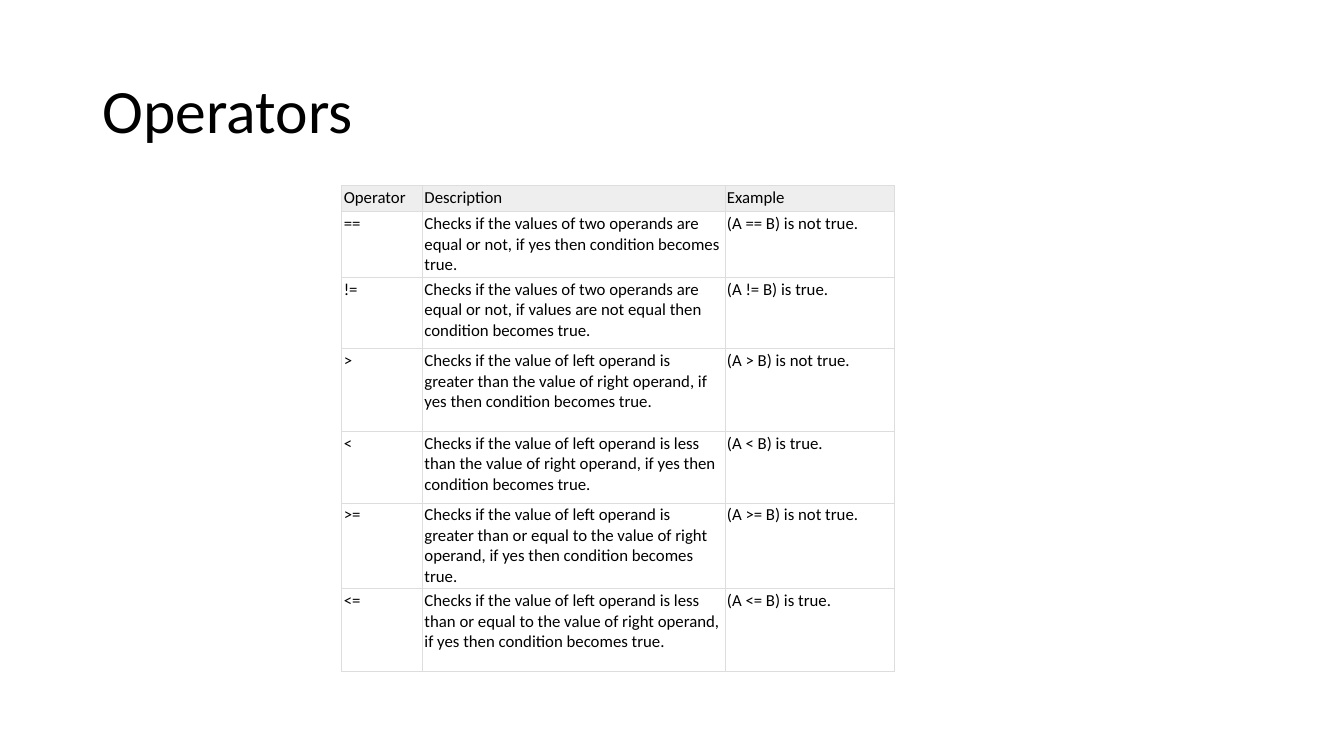
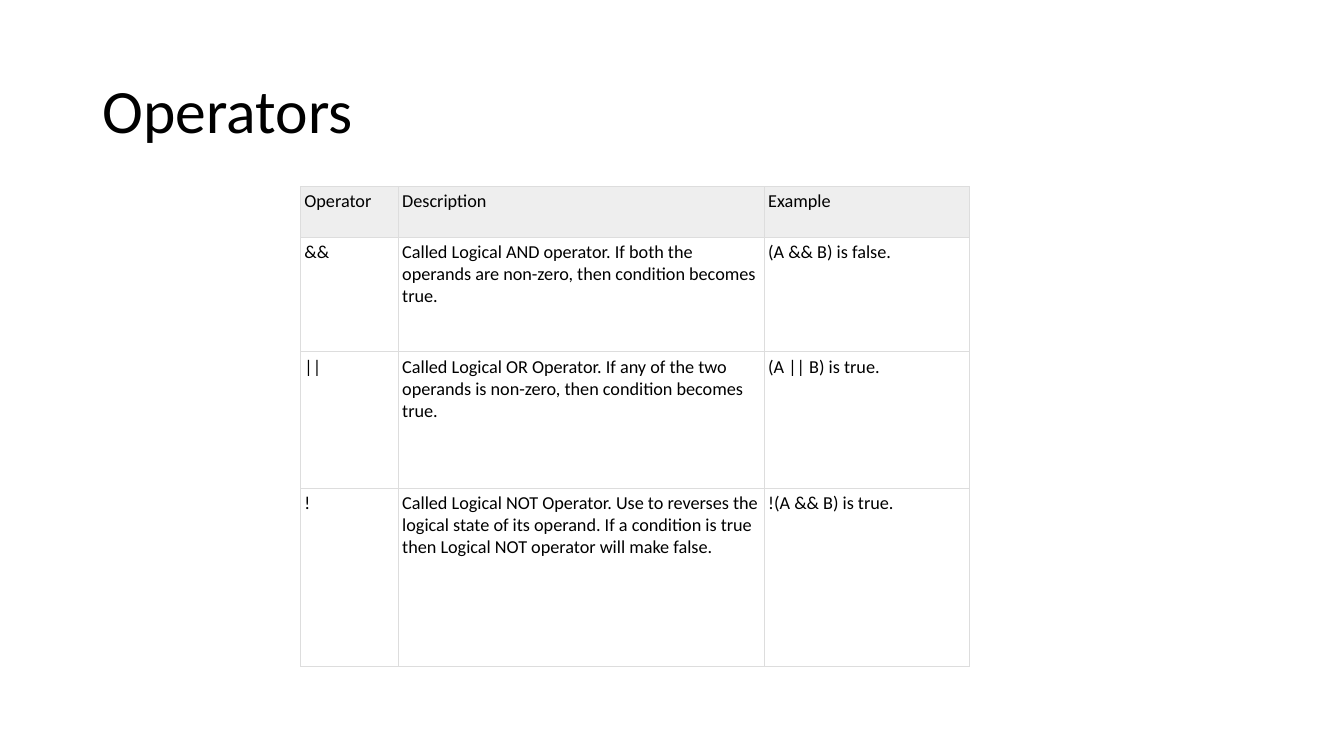
from dataclasses import dataclass

from lxml import etree
from pptx import Presentation
from pptx.dml.color import RGBColor
from pptx.enum.text import MSO_ANCHOR, PP_ALIGN
from pptx.oxml.ns import qn
from pptx.util import Inches, Pt

LEFT = PP_ALIGN.LEFT
TOP, MIDDLE = MSO_ANCHOR.TOP, MSO_ANCHOR.MIDDLE
TITLE_ONLY = 5

FONT = "Calibri"
TEXT_COLOR = "000000"
HEADER_FILL = "EEEEEE"
BORDER_COLOR = "DDDDDD"
BORDER_WIDTH = Pt(0.5)
HEADINGS = ("Operator", "Description", "Example")


@dataclass(frozen=True)
class Operator:
    symbol: str
    description: str
    example: str


@dataclass(frozen=True)
class OperatorTable:
    left: float
    top: float
    column_widths: tuple[float, ...]
    row_heights: tuple[float, ...]
    margin: float
    font_size: int
    operators: tuple[Operator, ...]


COMPARISON = OperatorTable(
    3.39, 1.84, (0.8, 3, 1.68), (0.26, 0.6, 0.71, 0.82, 0.71, 0.82, 0.82), 0.02, 12,
    (
        Operator("==", "Checks if the values of two operands are equal or not, "
                 "if yes then condition becomes true.", "(A == B) is not true."),
        Operator("!=", "Checks if the values of two operands are equal or not, "
                 "if values are not equal then condition becomes true.", "(A != B) is true."),
        Operator(">", "Checks if the value of left operand is greater than the value "
                 "of right operand, if yes then condition becomes true.", "(A > B) is not true."),
        Operator("<", "Checks if the value of left operand is less than the value "
                 "of right operand, if yes then condition becomes true.", "(A < B) is true."),
        Operator(">=", "Checks if the value of left operand is greater than or equal to the value "
                 "of right operand, if yes then condition becomes true.", "(A >= B) is not true."),
        Operator("<=", "Checks if the value of left operand is less than or equal to the value "
                 "of right operand, if yes then condition becomes true.", "(A <= B) is true."),
    ),
)
LOGICAL = OperatorTable(
    2.98, 1.85, (0.97, 3.63, 2.03), (0.5, 1.14, 1.35, 1.77), 0.04, 13,
    (
        Operator("&&", "Called Logical AND operator. If both the operands are non-zero, "
                 "then condition becomes true.", "(A && B) is false."),
        Operator("||", "Called Logical OR Operator. If any of the two operands is non-zero, "
                 "then condition becomes true.", "(A || B) is true."),
        Operator("!", "Called Logical NOT Operator. Use to reverses the logical state of its operand. "
                 "If a condition is true then Logical NOT operator will make false.",
                 "!(A && B) is true."),
    ),
)


def rgb(color: str) -> RGBColor:
    return RGBColor.from_string(color)


def format_paragraph(paragraph, size: int) -> None:
    paragraph.alignment = LEFT
    font = paragraph.font
    font.name, font.size, font.bold = FONT, Pt(size), False
    font.color.rgb = rgb(TEXT_COLOR)


def add_title(slide, text: str) -> None:
    title = slide.shapes.title
    title.left, title.top = Inches(0.92), Inches(0.4)
    title.width, title.height = Inches(11.5), Inches(1.45)
    title.text_frame.text = text
    title.text_frame.vertical_anchor = MIDDLE
    paragraph = title.text_frame.paragraphs[0]
    format_paragraph(paragraph, 44)
    paragraph.line_spacing = 0.9


def add_borders(cell) -> None:
    """Line all four sides; call before filling, as the schema puts lines first."""
    properties = cell._tc.get_or_add_tcPr()
    for side in ("a:lnL", "a:lnR", "a:lnT", "a:lnB"):
        line = etree.SubElement(properties, qn(side), w=str(BORDER_WIDTH))
        fill = etree.SubElement(line, qn("a:solidFill"))
        etree.SubElement(fill, qn("a:srgbClr"), val=BORDER_COLOR)


def fill_cell(cell, text: str, is_header: bool, layout: OperatorTable) -> None:
    cell.text = text
    cell.vertical_anchor = TOP
    margin = Inches(layout.margin)
    cell.margin_left = cell.margin_right = cell.margin_top = cell.margin_bottom = margin
    format_paragraph(cell.text_frame.paragraphs[0], layout.font_size)
    add_borders(cell)
    if is_header:
        cell.fill.solid()
        cell.fill.fore_color.rgb = rgb(HEADER_FILL)
    else:
        cell.fill.background()


def add_operator_table(slide, layout: OperatorTable) -> None:
    rows = [HEADINGS] + [(op.symbol, op.description, op.example) for op in layout.operators]
    table = slide.shapes.add_table(
        len(rows), len(HEADINGS), Inches(layout.left), Inches(layout.top),
        Inches(sum(layout.column_widths)), Inches(sum(layout.row_heights)),
    ).table
    table.first_row = table.horz_banding = False
    for column, width in zip(table.columns, layout.column_widths):
        column.width = Inches(width)
    for row, height in zip(table.rows, layout.row_heights):
        row.height = Inches(height)
    for row_index, texts in enumerate(rows):
        for column_index, text in enumerate(texts):
            fill_cell(table.cell(row_index, column_index), text, row_index == 0, layout)


def main() -> None:
    presentation = Presentation()
    presentation.slide_width, presentation.slide_height = Inches(13.33), Inches(7.5)
    for layout in (COMPARISON, LOGICAL):
        slide = presentation.slides.add_slide(presentation.slide_layouts[TITLE_ONLY])
        add_title(slide, "Operators")
        add_operator_table(slide, layout)
    presentation.save("out.pptx")


if __name__ == "__main__":
    main()
